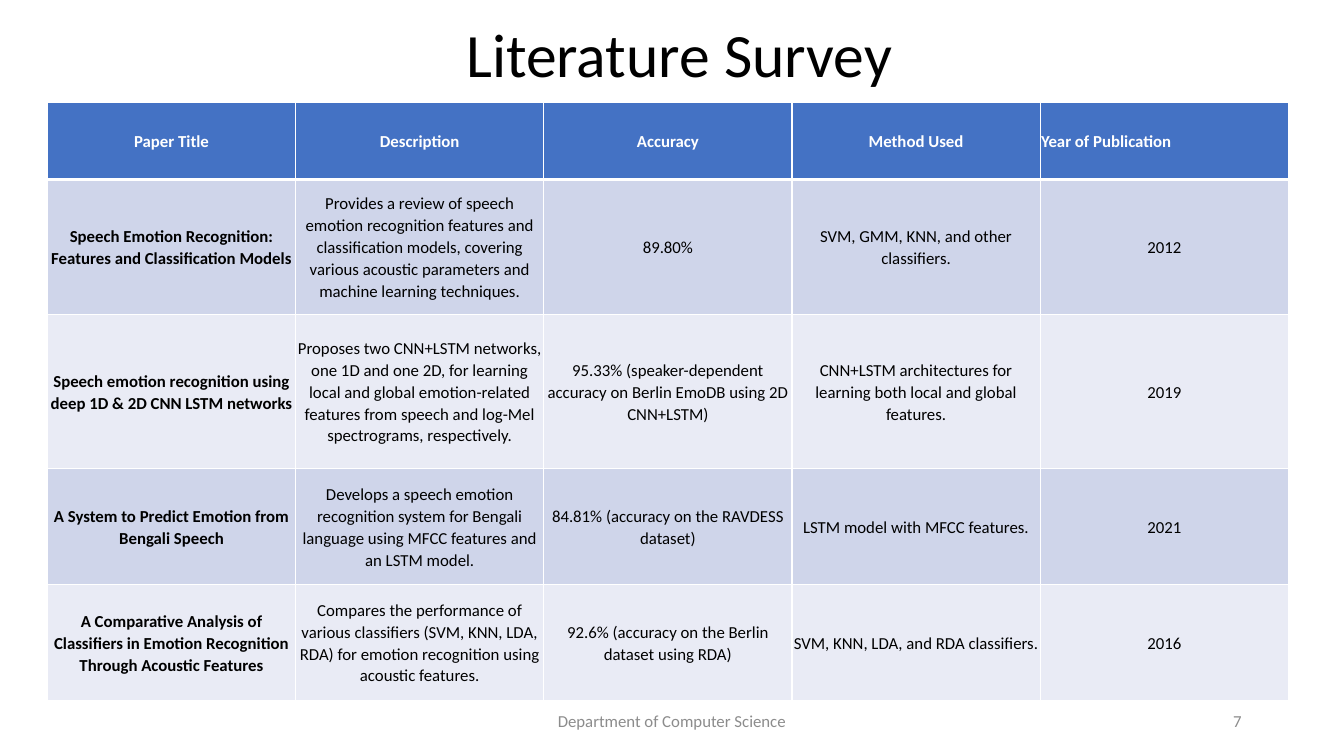
from lxml.etree import SubElement
from pptx import Presentation
from pptx.dml.color import RGBColor
from pptx.enum.text import MSO_ANCHOR, PP_ALIGN
from pptx.oxml.ns import qn
from pptx.util import Pt

COLORS = {
    "head": "4472C4",
    "odd": "CFD5EA",
    "even": "E9EBF5",
    "white": "FFFFFF",
    "black": "000000",
    "gray": "8C8C8C",
}
HEADS = ["Paper Title", "Description", "Accuracy", "Method Used", "Year of Publication"]
PAPERS = [
    ["Speech Emotion Recognition: Features and Classification Models",
     "Provides a review of speech emotion recognition features and classification models, "
     "covering various acoustic parameters and machine learning techniques.",
     "89.80%",
     "SVM, GMM, KNN, and other classifiers.",
     "2012"],
    ["Speech emotion recognition using deep 1D & 2D CNN LSTM networks",
     "Proposes two CNN+LSTM networks, one 1D and one 2D, for learning local and global "
     "emotion-related features from speech and log-Mel spectrograms, respectively.",
     "95.33% (speaker-dependent accuracy on Berlin EmoDB using 2D CNN+LSTM)",
     "CNN+LSTM architectures for learning both local and global features.",
     "2019"],
    ["A System to Predict Emotion from Bengali Speech",
     "Develops a speech emotion recognition system for Bengali language using MFCC "
     "features and an LSTM model.",
     "84.81% (accuracy on the RAVDESS dataset)",
     "LSTM model with MFCC features.",
     "2021"],
    ["A Comparative Analysis of Classifiers in Emotion Recognition Through Acoustic Features",
     "Compares the performance of various classifiers (SVM, KNN, LDA, RDA) for emotion "
     "recognition using acoustic features.",
     "92.6% (accuracy on the Berlin dataset using RDA)",
     "SVM, KNN, LDA, and RDA classifiers.",
     "2016"],
]
HEIGHTS = [55.4, 96.5, 110.2, 82.8, 82.8]
WIDTH = 177.3


def write(frame, text, size, color, align=PP_ALIGN.CENTER, bold=False):
    """Fill a text frame with one styled paragraph and return it."""
    frame.text = text
    frame.word_wrap = True
    para = frame.paragraphs[0]
    para.alignment = align
    font = para.font
    font.name, font.size, font.bold = "Calibri", Pt(size), bold
    font.color.rgb = RGBColor.from_string(COLORS[color])
    return para


def add_title(slide, text):
    """Place and format the title."""
    title = slide.shapes.title
    title.left, title.top, title.width, title.height = Pt(71.3), Pt(-10.8), Pt(828), Pt(104.4)
    title.text_frame.vertical_anchor = MSO_ANCHOR.MIDDLE
    write(title.text_frame, text, 44, "black").line_spacing = 0.9


def add_note(slide, text, left, width, align):
    """Add a gray text at the foot of the slide."""
    box = slide.shapes.add_textbox(Pt(left), Pt(500.4), Pt(width), Pt(28.8))
    box.text_frame.vertical_anchor = MSO_ANCHOR.MIDDLE
    write(box.text_frame, text, 12, "gray", align)


def add_edges(cell, top, bottom):
    """Draw the white borders of a cell."""
    props = cell._tc.get_or_add_tcPr()
    for side, width in (("L", 1), ("R", 1), ("T", top), ("B", bottom)):
        line = SubElement(props, qn(f"a:ln{side}"), w=str(Pt(width)))
        fill = SubElement(line, qn("a:solidFill"))
        SubElement(fill, qn("a:srgbClr"), val=COLORS["white"])


def style_cell(cell, text, row, col):
    """Write, fill and border a cell by its place in the table."""
    head = row == 0
    left = head and col == len(HEADS) - 1
    para = write(cell.text_frame, text, 12, "white" if head else "black",
                 PP_ALIGN.LEFT if left else PP_ALIGN.CENTER, head or col == 0)
    para.line_spacing, para.space_after = 1.07, Pt(8)
    cell.vertical_anchor = MSO_ANCHOR.MIDDLE
    cell.margin_left = cell.margin_right = cell.margin_top = cell.margin_bottom = Pt(0.7)
    add_edges(cell, 3 if row == 1 else 1, 3 if head else 1)
    cell.fill.solid()
    shade = "head" if head else "odd" if row % 2 else "even"
    cell.fill.fore_color.rgb = RGBColor.from_string(COLORS[shade])


def add_survey(slide, rows):
    """Add the table of papers."""
    frame = slide.shapes.add_table(len(rows), len(HEADS), Pt(33.9), Pt(72.8),
                                   Pt(WIDTH * len(HEADS)), Pt(sum(HEIGHTS)))
    table = frame.table
    for column in table.columns:
        column.width = Pt(WIDTH)
    for row, texts in enumerate(rows):
        table.rows[row].height = Pt(HEIGHTS[row])
        for col, text in enumerate(texts):
            style_cell(table.cell(row, col), text, row, col)


def main():
    """Build and save the slide."""
    deck = Presentation()
    deck.slide_width, deck.slide_height = Pt(960), Pt(540)
    slide = deck.slides.add_slide(deck.slide_layouts[5])
    add_title(slide, "Literature Survey")
    add_note(slide, "Department of Computer Science", 318, 324, PP_ALIGN.CENTER)
    add_note(slide, "7", 678, 216, PP_ALIGN.RIGHT)
    add_survey(slide, [HEADS] + PAPERS)
    deck.save("out.pptx")


if __name__ == "__main__":
    main()
